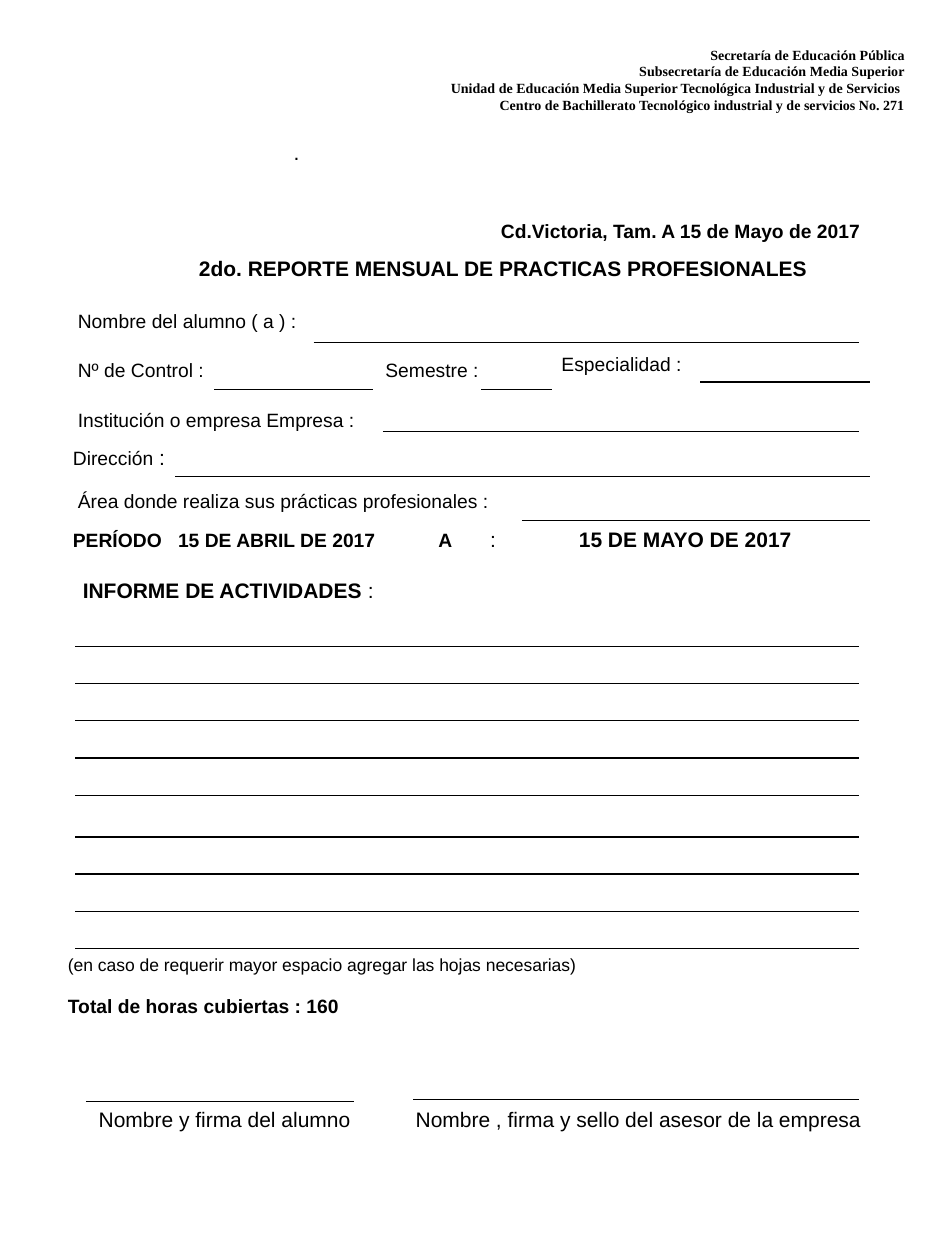
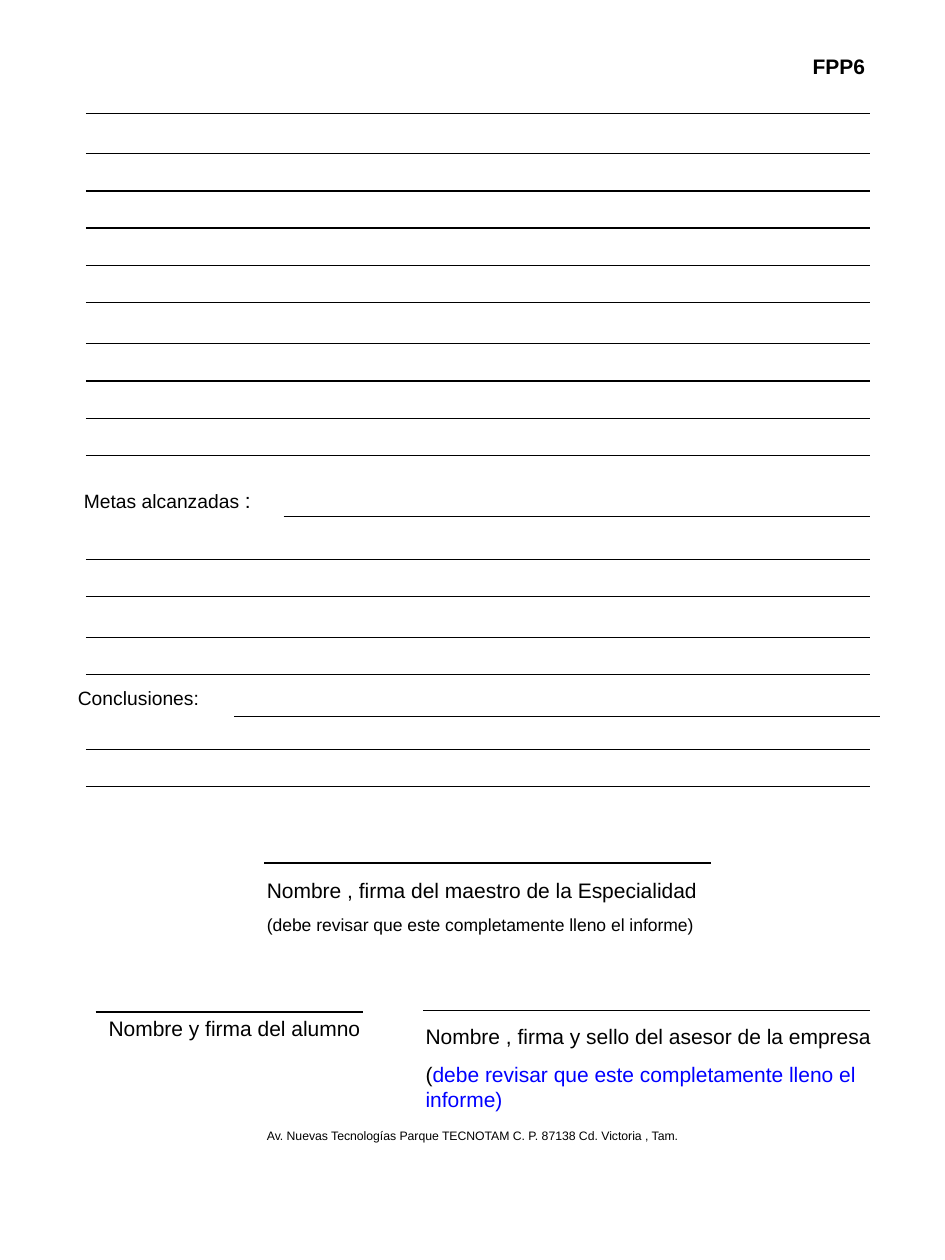
import itertools

import pptx
import pptx.dml.color
import pptx.enum.shapes
import pptx.enum.text
import pptx.oxml
import pptx.oxml.ns
import pptx.util
from lxml import etree

Cm = pptx.util.Cm
Pt = pptx.util.Pt
ALIGN = pptx.enum.text.PP_ALIGN

COLORS = {"ink": "000000", "notice": "0000FF"}
FONT = "Arial"
HEADER_FONT = "Times New Roman"
ACCENT_FONT = "Calibri"
TITLE_ONLY = 5
RULE_GAP = 0.75
STUDENT = "Nombre y firma del alumno"
ADVISER = "Nombre , firma y sello del asesor de la empresa"


def write(paragraph, content, size=11, bold=False, font=FONT, color="ink",
          align=ALIGN.LEFT, space_before=0, tabs=()):
    """Fill a paragraph with a string, or with (string, changes) pairs."""
    if tabs:
        properties = paragraph._p.get_or_add_pPr()
        tab_list = etree.SubElement(properties, pptx.oxml.ns.qn("a:tabLst"))
        for position in tabs:
            etree.SubElement(tab_list, pptx.oxml.ns.qn("a:tab"),
                             pos=str(Cm(position)), algn="l")
    paragraph.alignment = align
    paragraph.space_before = Pt(space_before)
    runs = [(content, {})] if isinstance(content, str) else content
    for text, changes in runs:
        style = {"size": size, "bold": bold, "font": font, "color": color, **changes}
        run = paragraph.add_run()
        run.text = text
        run.font.size = Pt(style["size"])
        run.font.bold = style["bold"]
        run.font.name = style["font"]
        run.font.color.rgb = pptx.dml.color.RGBColor.from_string(COLORS[style["color"]])


def accent_runs(text):
    """Set the accented letters of a header line in their own font."""
    return [("".join(letters), {"font": ACCENT_FONT} if accented else {})
            for accented, letters in itertools.groupby(text, lambda letter: letter in "íóú")]


class ReportForm:
    """The report's style and its current slide; all lengths are in centimetres."""

    def __init__(self):
        self.presentation = pptx.Presentation()
        self.presentation.slide_width = Cm(19.05)
        self.presentation.slide_height = Cm(25.4)
        self.slide = None

    def new_slide(self):
        layout = self.presentation.slide_layouts[TITLE_ONLY]
        self.slide = self.presentation.slides.add_slide(layout)

    def prepare(self, shape, wrap=True):
        frame = shape.text_frame
        frame.word_wrap = wrap
        frame.auto_size = pptx.enum.text.MSO_AUTO_SIZE.NONE
        frame.vertical_anchor = pptx.enum.text.MSO_ANCHOR.TOP
        frame.margin_left = frame.margin_right = Cm(0.25)
        frame.margin_top = frame.margin_bottom = Cm(0.13)
        return frame

    def title(self, text, left, top, width, align):
        shape = self.slide.shapes.title
        shape.left, shape.top = Cm(left), Cm(top)
        shape.width, shape.height = Cm(width), Cm(0.76)
        frame = self.prepare(shape)
        write(frame.paragraphs[0], text, size=12, bold=True, align=align)

    def text(self, paragraphs, left, top, width, height=0.74, wrap=True, **style):
        """Add a text box from one content or a list of (content, changes)."""
        box = self.slide.shapes.add_textbox(Cm(left), Cm(top), Cm(width), Cm(height))
        frame = self.prepare(box, wrap)
        if isinstance(paragraphs, str):
            paragraphs = [(paragraphs, {})]
        for index, (content, changes) in enumerate(paragraphs):
            paragraph = frame.add_paragraph() if index else frame.paragraphs[0]
            write(paragraph, content, **{**style, **changes})

    def line(self, left, y, right):
        connector = self.slide.shapes.add_connector(
            pptx.enum.shapes.MSO_CONNECTOR.STRAIGHT, Cm(left), Cm(y), Cm(right), Cm(y))
        connector.line.width = Pt(0.75)
        connector.line.color.rgb = pptx.dml.color.RGBColor.from_string(COLORS["ink"])
        etree.SubElement(connector._element.spPr, pptx.oxml.ns.qn("a:effectLst"))

    def ruled_lines(self, left, right, groups):
        """Draw writing lines from (first line, number of lines) groups."""
        for first, count in groups:
            for index in range(count):
                self.line(left, first + index * RULE_GAP, right)

    def signature(self, paragraphs, left, y, width, label_left, label_top,
                  label_width=9.6, label_height=0.76):
        self.line(left, y, left + width)
        self.text(paragraphs, label_left, label_top, label_width, label_height, size=12)


def build_report_page(form):
    form.new_slide()

    # School header
    header = [
        (accent_runs("Secretaría de Educación Pública"), {}),
        (accent_runs("Subsecretaría de Educación Media Superior"), {}),
        ("Unidad de Educación Media Superior Tecnológica Industrial y de Servicios ", {}),
        (accent_runs("Centro de Bachillerato Tecnológico industrial y de servicios No. 271"), {}),
    ]
    form.text(header, 7.39, 0.8, 11.1, 1.95, wrap=False, size=8, bold=True,
              font=HEADER_FONT, align=ALIGN.RIGHT)
    form.text(".", 5.67, 2.69, 3.6, size=12)

    # Date and title
    form.text("Cd.Victoria, Tam. A 15 de Mayo de 2017", 1.98, 4.29, 15.62,
              bold=True, align=ALIGN.RIGHT)
    form.title("2do. REPORTE MENSUAL DE PRACTICAS PROFESIONALES",
               1.98, 5.03, 16.33, ALIGN.CENTER)

    # Student and company fields
    fields = [
        ("Nombre del alumno ( a ) :", 1.32, 6.1, 6.2),
        ("Nº de Control :", 1.32, 7.09, 6.2),
        ("Semestre :", 7.52, 7.09, 3.6),
        ("Especialidad :", 11.07, 6.97, 6.2),
        ("Institución o empresa Empresa :", 1.32, 8.1, 16.41),
        ("Área donde realiza sus prácticas profesionales :", 1.32, 9.73, 16.41),
    ]
    for label, left, top, width in fields:
        form.text(label, left, top, width)
    form.text([([("Dirección", {}), (" :", {"size": 12})], {})], 1.22, 8.84, 16.41)

    blanks = [(6.32, 6.91, 17.32), (4.32, 7.85, 7.52), (9.7, 7.85, 11.13),
              (14.12, 7.7, 17.53), (7.72, 8.7, 17.32), (3.53, 9.6, 17.53),
              (10.52, 10.49, 17.53)]
    for blank in blanks:
        form.line(*blank)

    # Period
    period = [("PERÍODO\t15 DE ABRIL DE 2017\tA\t", {"bold": True}), (":", {"size": 12})]
    form.text([(period, {"tabs": (2.12, 7.37, 8.41)})], 1.22, 10.49, 9.6)
    form.text("15 DE MAYO DE 2017", 11.42, 10.49, 6.2, size=12, bold=True)

    # Activities
    activities = [("INFORME DE ACTIVIDADES ", {"bold": True}), (":", {})]
    form.text([(activities, {})], 1.42, 11.51, 16.2, size=12)
    form.ruled_lines(1.52, 17.32, [(13.03, 5), (16.87, 4)])
    form.text("(en caso de requerir mayor espacio agregar las hojas necesarias)",
              1.12, 19.1, 13.21, size=10)
    form.text("Total de horas cubiertas : 160", 1.12, 19.91, 7.01, bold=True)

    # Signatures
    form.signature(STUDENT, 1.73, 22.2, 5.41, 1.74, 22.17, 6.2)
    form.signature(ADVISER, 8.33, 22.17, 8.99, 8.13, 22.17)


def build_closing_page(form):
    form.new_slide()
    form.title("FPP6", 16.13, 0.94, 1.7, ALIGN.LEFT)

    # Activities, continued
    form.ruled_lines(1.73, 17.53, [(2.29, 1), (3.1, 5), (6.93, 4)])

    # Goals
    goals = [("Metas alcanzadas ", {}), (":", {"size": 12})]
    form.text([(goals, {})], 1.44, 9.7, 16.2)
    form.line(5.72, 10.41, 17.53)
    form.ruled_lines(1.73, 17.53, [(11.28, 2), (12.85, 2)])

    # Conclusions
    form.text("Conclusiones:", 1.32, 13.7, 16.41)
    form.line(4.72, 14.45, 17.73)
    form.ruled_lines(1.73, 17.53, [(15.11, 2)])

    # Signatures
    teacher = [
        ("Nombre , firma del maestro de la Especialidad", {}),
        ("(debe revisar que este completamente lleno el informe)",
         {"size": 10, "space_before": 6.2}),
    ]
    form.signature(teacher, 5.33, 17.4, 9, 5.13, 17.57, label_height=1.4)
    form.signature(STUDENT, 1.93, 20.4, 5.39, 1.94, 20.35, 6.2)
    notice = [("(", {}),
              ("debe revisar que este completamente lleno el informe)", {"color": "notice"})]
    adviser = [(ADVISER, {}), (notice, {"space_before": 7.5})]
    form.signature(adviser, 8.53, 20.37, 9, 8.33, 20.5, label_height=2)

    # Address
    form.text("Av. Nuevas Tecnologías Parque TECNOTAM C. P. 87138 Cd. Victoria , Tam.",
              4.52, 22.61, 10.01, 0.56, size=7, align=ALIGN.CENTER)


def main():
    form = ReportForm()
    build_report_page(form)
    build_closing_page(form)
    form.presentation.save("out.pptx")


if __name__ == "__main__":
    main()
